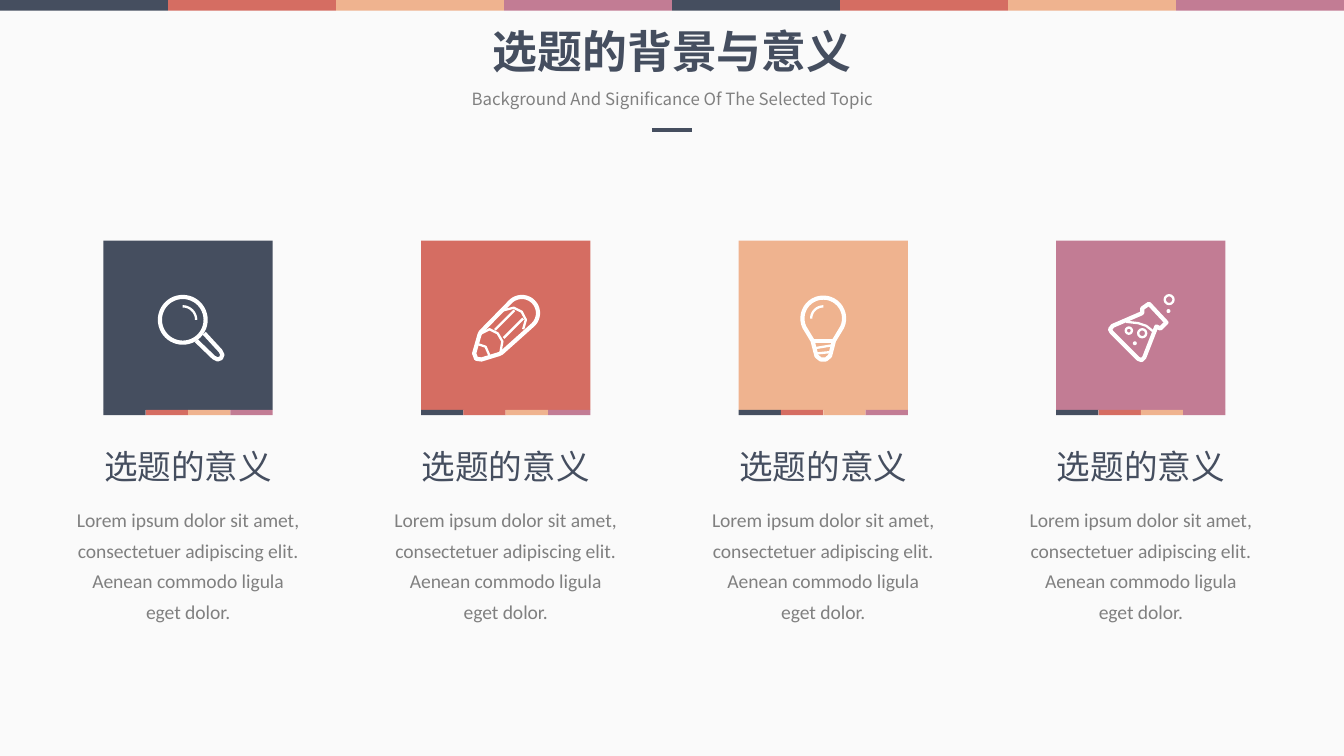
"""Build a slide with a title and four icon columns under a striped banner."""
from math import cos, radians, sin

from pptx import Presentation
from pptx.dml.color import RGBColor
from pptx.enum.shapes import MSO_CONNECTOR as LINE, MSO_SHAPE as SHAPE
from pptx.enum.text import MSO_AUTO_SIZE as FIT, PP_ALIGN as ALIGN
from pptx.oxml.xmlchemy import OxmlElement
from pptx.util import Inches, Pt


def arc(cx, cy, r, start, end, steps=24):
    angles = [radians(start + (end - start) * i / steps) for i in range(steps + 1)]
    return [(cx + r * cos(a), cy + r * sin(a)) for a in angles]


COLORS = {"navy": "454E5F", "red": "D56D62", "peach": "EFB38F", "mauve": "C27C94",
          "gray": "808080", "white": "FFFFFF", "back": "FAFAFA"}
STRIPE = ["navy", "red", "peach", "mauve"]
CJK, LATIN = "Noto Sans CJK SC", "Calibri"
TITLE = "选题的背景与意义"
SUBTITLE = "Background And Significance Of The Selected Topic"
BODY = ("Lorem ipsum dolor sit amet, consectetuer adipiscing elit. "
        "Aenean commodo ligula eget dolor.")
COLUMNS = [("navy", "magnifier"), ("red", "pencil"), ("peach", "bulb"), ("mauve", "flask")]
HEADING = "选题的意义"

# Icon units are hundredths of an inch from the icon centre.
THICK, THIN = 2.25, 1.25
ICONS = {
    "magnifier": {
        "circles": [(-4, -6, 17, THICK)],
        "paths": [
            ([(12, 4), (24, 17), (25.5, 20), (24.5, 22.5), (22, 23.5), (19, 22), (6, 9.5)],
             THICK, False),
            (arc(-4, -6, 10, -90, 0), THIN, False)]},
    "pencil": {
        "circles": [],
        "paths": [
            (arc(12, -11, 12, -135, 45) + [(-3, 18.5), (-5, 19.5), (-18, 23.5), (-22, 23),
             (-23.5, 19), (-19.5, 5), (-18.5, 3)], THICK, True),
            ([(-2, -13), (6, -15), (12, -12), (15, -6), (13, 1)], THIN, False),
            ([(-18, 4), (-12, 1), (-6, 4), (-2.5, 10), (-4, 19)], THIN, False),
            ([(-21, 12), (-15, 14), (-12, 21)], THIN, False),
            ([(-8, 1.5), (6.5, -13)], THIN, False),
            ([(-1.5, 7.5), (13, -7)], THIN, False)]},
    "bulb": {
        "circles": [],
        "paths": [
            (arc(0, -7, 15.5, 155, 385) + [(8, 9.5), (5, 21), (2, 23.5), (-2, 23.5),
             (-5, 21), (-8, 9.5)], THICK, True),
            ([(-8, 9.5), (8, 9.5)], THICK, False),
            ([(-6, 15), (6, 13)], THIN, False),
            ([(-5, 19), (5, 18)], THIN, False),
            (arc(0, -7, 9, 180, 270), THIN, False)]},
    "flask": {
        "circles": [(1, 4, 3, THIN), (21, -21, 3.3, THIN), (-9, 2, 2.3, THIN),
                    (-4.5, 11.5, 0.6, THIN), (20.5, -12.5, 0.6, THIN)],
        "paths": [
            ([(1, -11), (-21, -1.5), (-23, 1), (-22, 3), (-2, 23), (0.5, 24), (2.5, 22),
              (11.5, -1), (14.5, 0.5), (19, -4), (6, -18), (1, -14.5)], THICK, True),
            ([(-11, -4.5), (-2, -3.5), (4, -1.5), (9, 2.5)], THIN, False)]},
}

W, H = 10, 5.625
FIRST, PITCH = 0.14 * W, 0.2363 * W
TILE, TILE_TOP, ICON_Y = 1.26, 1.79, 2.44


def rgb(name):
    return RGBColor.from_string(COLORS[name])


def add_rect(shapes, x, y, w, h, color):
    sp = shapes.add_shape(SHAPE.RECTANGLE, Inches(x), Inches(y), Inches(w), Inches(h))
    sp.shadow.inherit = False
    sp.fill.solid()
    sp.fill.fore_color.rgb = rgb(color)
    sp.line.fill.background()


def add_stripe(shapes, x, y, w, h, colors):
    step = w / len(colors)
    for i, color in enumerate(colors):
        add_rect(shapes, x + i * step, y, step, h, color)


def add_text(shapes, text, cx, y, w, h, size, font, color, bold=False, wrap=True,
             spacing=None, before=None):
    box = shapes.add_textbox(Inches(cx - w / 2), Inches(y), Inches(w), Inches(h))
    tf = box.text_frame
    tf.word_wrap, tf.auto_size = wrap, FIT.SHAPE_TO_FIT_TEXT
    p = tf.paragraphs[0]
    p.text, p.alignment = text, ALIGN.CENTER
    p.line_spacing, p.space_before = spacing, before
    r = p.runs[0]
    r.font.size, r.font.name, r.font.bold = Pt(size), font, bold
    r.font.color.rgb = rgb(color)
    ea = OxmlElement("a:ea")
    ea.set("typeface", font)
    r.font._element.append(ea)


def outline(sp, width):
    sp.shadow.inherit = False
    sp.fill.background()
    sp.line.color.rgb = rgb("white")
    sp.line.width = Pt(width)


def add_icon(shapes, cx, cy, icon):
    for x, y, r, width in icon["circles"]:
        sp = shapes.add_shape(SHAPE.OVAL, Inches(cx + (x - r) / 100),
                              Inches(cy + (y - r) / 100), Inches(r / 50), Inches(r / 50))
        outline(sp, width)
    for points, width, closed in icon["paths"]:
        pts = [(Inches(cx + x / 100), Inches(cy + y / 100)) for x, y in points]
        builder = shapes.build_freeform(*pts[0])
        builder.add_line_segments(pts[1:], close=closed)
        outline(builder.convert_to_shape(), width)


def main():
    prs = Presentation()
    prs.slide_width, prs.slide_height = Inches(W), Inches(H)
    s = prs.slides.add_slide(prs.slide_layouts[6])
    s.background.fill.solid()
    s.background.fill.fore_color.rgb = rgb("back")
    shapes = s.shapes

    add_stripe(shapes, 0, 0, W, 0.08, STRIPE * 2)
    add_text(shapes, TITLE, W / 2, 0.13, 2.89, 0.5, 24, CJK, "navy", bold=True, wrap=False)
    add_text(shapes, SUBTITLE, W / 2, 0.61, 3.38, 0.25, 9, CJK, "gray", wrap=False)
    rule = shapes.add_connector(LINE.STRAIGHT, Inches(W / 2 - 0.15), Inches(0.97),
                                Inches(W / 2 + 0.15), Inches(0.97))
    rule.line.color.rgb, rule.line.width = rgb("navy"), Pt(2.25)
    rule._element.spPr.append(OxmlElement("a:effectLst"))

    for i, (color, icon) in enumerate(COLUMNS):
        cx = FIRST + i * PITCH
        add_rect(shapes, cx - TILE / 2, TILE_TOP, TILE, TILE, color)
        add_stripe(shapes, cx - TILE / 2, TILE_TOP + TILE, TILE, 0.04, STRIPE)
        add_icon(shapes, cx, ICON_Y, ICONS[icon])
        add_text(shapes, HEADING, cx, 3.27, 1.47, 0.4, 18, CJK, "navy")
        add_text(shapes, BODY, cx, 3.68, 1.88, 1, 10.5, LATIN, "gray",
                 spacing=1.3, before=Pt(6))
    prs.save("out.pptx")


if __name__ == "__main__":
    main()
